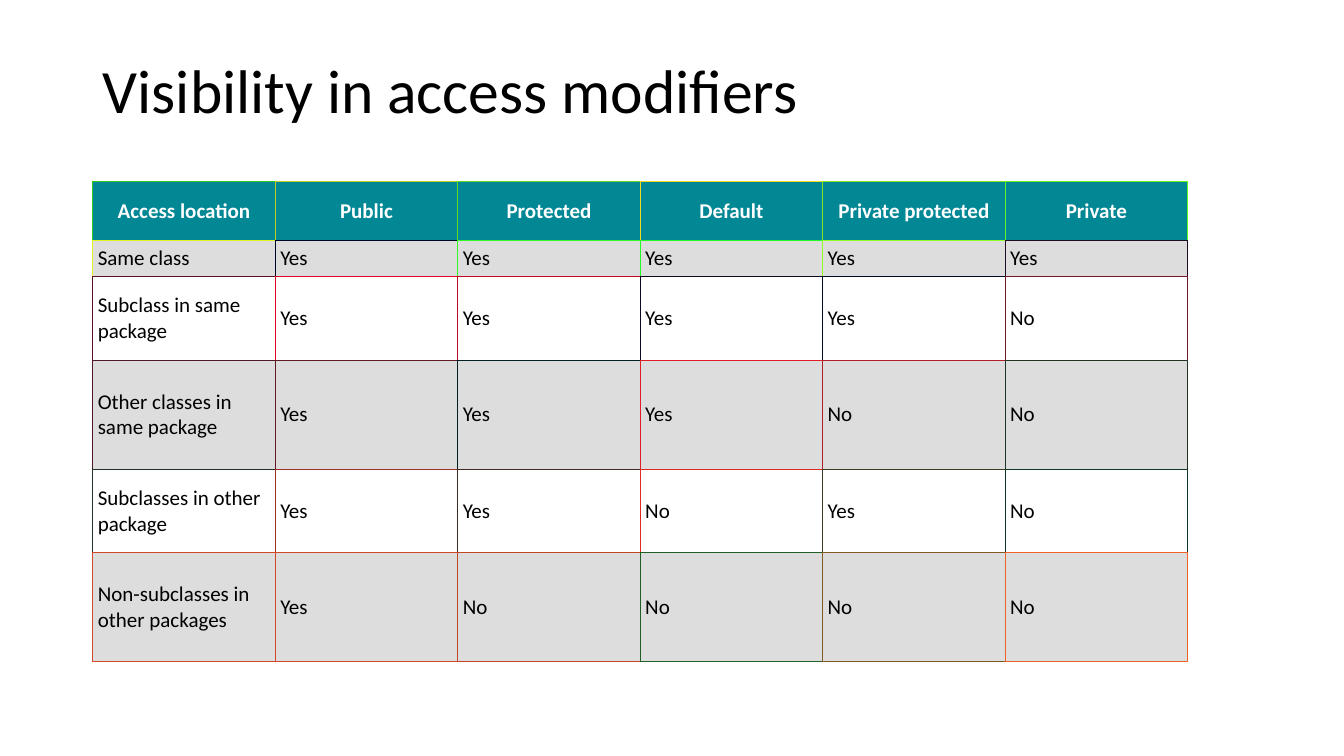
from pptx import Presentation
from pptx.dml.color import RGBColor
from pptx.enum.text import MSO_ANCHOR as Anchor, MSO_AUTO_SIZE as AutoSize, PP_ALIGN as Align
from pptx.oxml import parse_xml
from pptx.oxml.ns import nsdecls
from pptx.util import Inches, Pt

COLOURS = {"text": "000000", "header": "028795", "header_text": "FFFFFF",
           "band": "DDDDDD", "plain": "FFFFFF"}

ACCESS = [
    ["Access location", "Public", "Protected", "Default", "Private protected", "Private"],
    ["Same class", "Yes", "Yes", "Yes", "Yes", "Yes"],
    ["Subclass in same package", "Yes", "Yes", "Yes", "Yes", "No"],
    ["Other classes in same package", "Yes", "Yes", "Yes", "No", "No"],
    ["Subclasses in other package", "Yes", "Yes", "No", "Yes", "No"],
    ["Non-subclasses in other packages", "Yes", "No", "No", "No", "No"],
]
# Each cell's left and top border colour; its neighbours give the other two sides
BORDERS = [
    ["30C823", "C0CB23", "60DA23", "F0DD23", "80E423", "60F223"],
    ["E0F323", "000424", "30FB23", "20FC23", "90FE23", "200B24"],
    ["601024", "E00524", "C00A24", "100624", "000A24", "701824"],
    ["501724", "601924", "001F24", "E01D24", "B01D24", "203524"],
    ["203224", "A03024", "402A24", "E02924", "403C24", "103924"],
    ["D04824", "D04824", "C04624", "205F24", "805C24", "F06124"],
]
ROW_HEIGHTS = [0.59, 0.35, 0.83, 1.08, 0.83, 1.08]
COLUMN_WIDTH = 1.81
INNER, OUTER = 1, 0.6


def write_text(frame, text, size, colour="text", bold=False, align=Align.LEFT, spacing=1.0):
    frame.text = text
    frame.word_wrap = True
    paragraph = frame.paragraphs[0]
    paragraph.alignment = align
    paragraph.line_spacing = spacing
    font = paragraph.runs[0].font
    font.name, font.size, font.bold = "Calibri", Pt(size), bold
    font.color.rgb = RGBColor.from_string(COLOURS[colour])


def add_border(cell, side, colour, width):
    """Draw one side (L, R, T or B) of a cell; call in that order, before the fill."""
    cell._tc.get_or_add_tcPr().append(parse_xml(
        f'<a:ln{side} {nsdecls("a")} w="{Pt(width)}"><a:solidFill>'
        f'<a:srgbClr val="{colour}"/></a:solidFill></a:ln{side}>'))


presentation = Presentation()
presentation.slide_width, presentation.slide_height = Inches(13.33), Inches(7.5)
slide = presentation.slides.add_slide(presentation.slide_layouts[5])

title = slide.shapes.title
title.left, title.top = Inches(0.92), Inches(0.4)
title.width, title.height = Inches(11.5), Inches(1.05)
write_text(title.text_frame, "Visibility in access modifiers", 44, spacing=0.9)
title.text_frame.vertical_anchor = Anchor.MIDDLE
title.text_frame.auto_size = AutoSize.NONE

last_row, last_column = len(ACCESS) - 1, len(ACCESS[0]) - 1
visibility = slide.shapes.add_table(
    len(ACCESS), len(ACCESS[0]), Inches(0.92), Inches(1.8),
    Inches(COLUMN_WIDTH * len(ACCESS[0])), Inches(sum(ROW_HEIGHTS))).table
visibility.horz_banding = False
for column in visibility.columns:
    column.width = Inches(COLUMN_WIDTH)

for r, answers in enumerate(ACCESS):
    visibility.rows[r].height = Inches(ROW_HEIGHTS[r])
    for c, answer in enumerate(answers):
        cell = visibility.cell(r, c)
        if r == 0:
            write_text(cell.text_frame, answer, 15, "header_text", True, Align.CENTER)
            fill = "header"
        else:
            write_text(cell.text_frame, answer, 15)
            fill = "band" if r % 2 else "plain"
        cell.vertical_anchor = Anchor.MIDDLE
        cell.margin_left = cell.margin_right = Inches(0.05)
        cell.margin_top = cell.margin_bottom = Inches(0.05)

        own = BORDERS[r][c]
        add_border(cell, "L", own, INNER)
        add_border(cell, "R", BORDERS[r][min(c + 1, last_column)],
                   INNER if c < last_column else OUTER)
        add_border(cell, "T", own, INNER)
        add_border(cell, "B", BORDERS[min(r + 1, last_row)][c],
                   INNER if r < last_row else OUTER)
        cell.fill.solid()
        cell.fill.fore_color.rgb = RGBColor.from_string(COLOURS[fill])

presentation.save("out.pptx")
